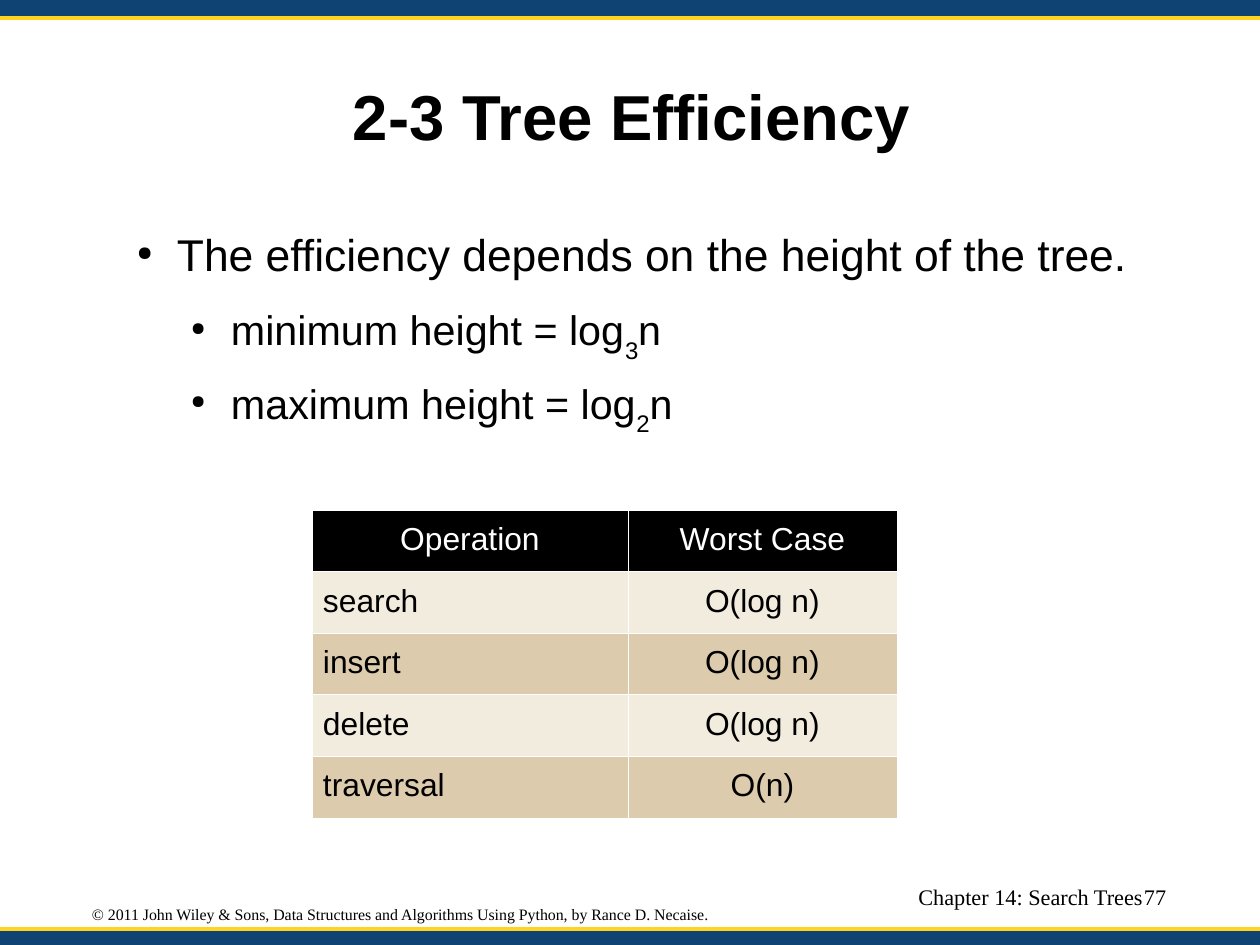
from dataclasses import dataclass
from typing import Any

import lxml.etree
import pptx
import pptx.dml.color
import pptx.enum.shapes
import pptx.enum.text
import pptx.oxml
import pptx.oxml.ns
import pptx.util

EMU_PER_PX = 8000
SLIDE_WIDTH, SLIDE_HEIGHT = 1260, 945

RGBColor = pptx.dml.color.RGBColor
NAVY = RGBColor(0x0F, 0x43, 0x74)
YELLOW = RGBColor(0xFF, 0xD3, 0x20)
BLACK = RGBColor(0x00, 0x00, 0x00)
WHITE = RGBColor(0xFF, 0xFF, 0xFF)
CREAM = RGBColor(0xF2, 0xEC, 0xDE)
TAN = RGBColor(0xDC, 0xCB, 0xAC)

LEFT = pptx.enum.text.PP_ALIGN.LEFT
CENTER = pptx.enum.text.PP_ALIGN.CENTER
RIGHT = pptx.enum.text.PP_ALIGN.RIGHT
TOP = pptx.enum.text.MSO_ANCHOR.TOP
MIDDLE = pptx.enum.text.MSO_ANCHOR.MIDDLE
SANS, SERIF = "Arial", "Times New Roman"
LINE_SPACING = 0.93


@dataclass
class Label:
    text: str
    area: tuple[int, int, int, int]
    size: int
    font: str = SERIF
    bold: bool = False
    align: Any = LEFT
    anchor: Any = TOP
    top_inset: int = 0
    wrap: bool = True


@dataclass
class Bullet:
    text: str
    size: int
    indent: int
    space_after: float
    subscript: str = ""
    tail: str = ""


@dataclass
class Band:
    top: int
    height: int
    rule: int


BANDS = [Band(0, 18, 18), Band(929, 16, 929)]
LABELS = [
    Label("© 2011 John Wiley & Sons, Data Structures and Algorithms Using Python, by Rance D. Necaise.",
          (92, 906, 623, 18), 10, anchor=MIDDLE, top_inset=1, wrap=False),
    Label("2-3 Tree Efficiency", (63, 38, 1137, 158), 40, SANS, True, CENTER, MIDDLE, 5),
    Label("Chapter 14: Search Trees", (744, 886, 399, 40), 14, align=RIGHT),
    Label("77", (1144, 886, 53, 40), 14),
]
BODY_AREA = (123, 229, 1055, 624)
BULLET_HANG = 40
BULLETS = [
    Bullet("The efficiency depends on the height of the tree.", 28, 54, 14.3),
    Bullet("minimum height = log", 26, 108, 11.4, "3", "n"),
    Bullet("maximum height = log", 26, 108, 11.4, "2", "n"),
]
TABLE_AREA = (312, 510, 585, 308)
COLUMN_WIDTHS = (316, 269)
TABLE_ROWS = [
    ("Operation", "Worst Case"),
    ("search", "O(log n)"),
    ("insert", "O(log n)"),
    ("delete", "O(log n)"),
    ("traversal", "O(n)"),
]


def px(length: int) -> pptx.util.Emu:
    return pptx.util.Emu(length * EMU_PER_PX)


def set_values(target: Any, values: dict[str, Any]) -> None:
    for name, value in values.items():
        setattr(target, name, value)


def add_span(para: Any, text: str, size: int, font: str, color: RGBColor = BLACK, bold: bool = False) -> Any:
    span = para.add_run()
    span.text = text
    set_values(span.font, {"size": pptx.util.Pt(size), "name": font, "bold": bold})
    span.font.color.rgb = color
    return span


def add_box(page: Any, area: tuple[int, int, int, int], top_inset: int, anchor: Any, wrap: bool) -> Any:
    frame = page.shapes.add_textbox(*map(px, area)).text_frame
    set_values(frame, {"margin_left": 0, "margin_right": 0, "margin_bottom": 0,
                       "margin_top": px(top_inset), "vertical_anchor": anchor, "word_wrap": wrap})
    return frame


def add_band(page: Any, band: Band) -> None:
    bar = page.shapes.add_shape(pptx.enum.shapes.MSO_SHAPE.RECTANGLE,
                                0, px(band.top), px(SLIDE_WIDTH), px(band.height))
    bar.shadow.inherit = False
    bar.fill.solid()
    bar.fill.fore_color.rgb = NAVY
    bar.line.fill.background()


def add_rule(page: Any, band: Band) -> None:
    rule = page.shapes.add_connector(pptx.enum.shapes.MSO_CONNECTOR.STRAIGHT,
                                     0, px(band.rule), px(SLIDE_WIDTH), px(band.rule))
    rule.line.color.rgb = YELLOW
    rule.line.width = pptx.util.Pt(2)
    lxml.etree.SubElement(rule._element.spPr, pptx.oxml.ns.qn("a:effectLst"))


def add_label(page: Any, label: Label) -> None:
    frame = add_box(page, label.area, label.top_inset, label.anchor, label.wrap)
    para = frame.paragraphs[0]
    set_values(para, {"alignment": label.align, "line_spacing": LINE_SPACING})
    add_span(para, label.text, label.size, label.font, bold=label.bold)


def add_bullet(para: Any, bullet: Bullet) -> None:
    properties = para._p.get_or_add_pPr()
    properties.set("marL", str(px(bullet.indent)))
    properties.set("indent", str(-px(BULLET_HANG)))
    namespace = pptx.oxml.ns.nsdecls("a")
    for markup in (f'<a:buClr {namespace}><a:srgbClr val="{BLACK}"/></a:buClr>',
                   f'<a:buSzPct {namespace} val="45000"/>',
                   f'<a:buChar {namespace} char="●"/>'):
        properties.append(pptx.oxml.parse_xml(markup))
    set_values(para, {"line_spacing": LINE_SPACING, "space_after": pptx.util.Pt(bullet.space_after)})
    add_span(para, bullet.text, bullet.size, SANS)
    if bullet.subscript:
        lowered = add_span(para, bullet.subscript, bullet.size, SANS)
        lowered._r.get_or_add_rPr().set("baseline", "-33000")
        add_span(para, bullet.tail, bullet.size, SANS)


def add_cell_borders(cell: Any) -> None:
    properties = cell._tc.get_or_add_tcPr()
    for side in ("lnL", "lnR", "lnT", "lnB"):
        properties.append(pptx.oxml.parse_xml(
            f'<a:{side} {pptx.oxml.ns.nsdecls("a")} w="3600"><a:solidFill>'
            f'<a:srgbClr val="{WHITE}"/></a:solidFill></a:{side}>'))


def fill_cell(cell: Any, text: str, row: int, column: int) -> None:
    header = row == 0
    add_cell_borders(cell)
    cell.fill.solid()
    cell.fill.fore_color.rgb = BLACK if header else (CREAM if row % 2 else TAN)
    set_values(cell, {"vertical_anchor": MIDDLE, "margin_left": px(11), "margin_right": px(11),
                      "margin_top": px(6), "margin_bottom": px(6)})
    para = cell.text_frame.paragraphs[0]
    set_values(para, {"alignment": CENTER if header or column else LEFT, "line_spacing": LINE_SPACING})
    add_span(para, text, 20, SANS, WHITE if header else BLACK)


def add_cost_table(page: Any) -> None:
    table = page.shapes.add_table(len(TABLE_ROWS), len(COLUMN_WIDTHS), *map(px, TABLE_AREA)).table
    set_values(table, {"first_row": False, "horz_banding": False})
    for column, width in zip(table.columns, COLUMN_WIDTHS):
        column.width = px(width)
    for row, texts in enumerate(TABLE_ROWS):
        table.rows[row].height = px(TABLE_AREA[3]) // len(TABLE_ROWS)
        for column, text in enumerate(texts):
            fill_cell(table.cell(row, column), text, row, column)


def main() -> None:
    deck = pptx.Presentation()
    set_values(deck, {"slide_width": px(SLIDE_WIDTH), "slide_height": px(SLIDE_HEIGHT)})
    page = deck.slides.add_slide(deck.slide_layouts[6])

    # Frame bands with their yellow rules
    for band in BANDS:
        add_band(page, band)
        add_rule(page, band)

    # Title and footer
    for label in LABELS:
        add_label(page, label)

    # Bulleted body
    frame = add_box(page, BODY_AREA, 3, TOP, True)
    for index, bullet in enumerate(BULLETS):
        add_bullet(frame.add_paragraph() if index else frame.paragraphs[0], bullet)

    # Operation costs
    add_cost_table(page)
    deck.save("out.pptx")


if __name__ == "__main__":
    main()
